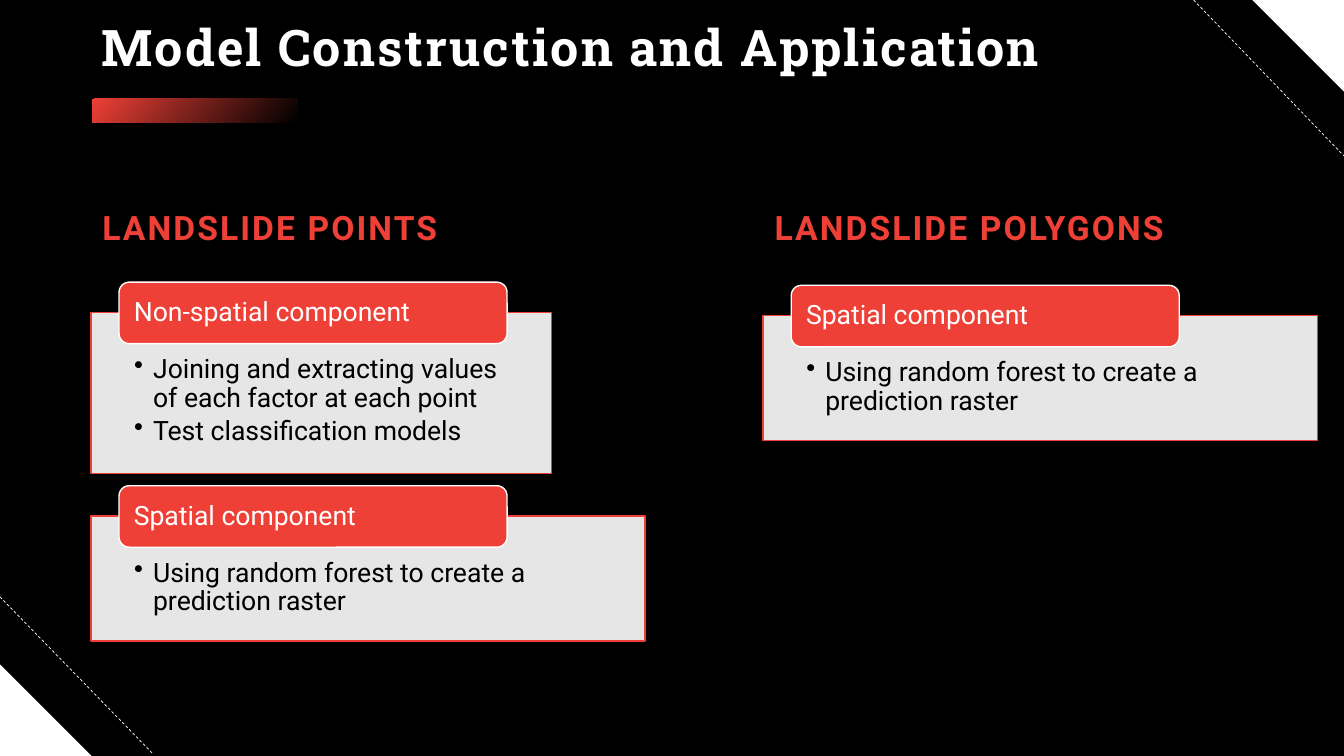
from dataclasses import dataclass

from lxml import etree
from pptx import Presentation
from pptx.dml.color import RGBColor
from pptx.enum.dml import MSO_LINE
from pptx.enum.shapes import MSO_CONNECTOR, MSO_SHAPE
from pptx.enum.text import MSO_ANCHOR, MSO_AUTO_SIZE, PP_ALIGN
from pptx.oxml.ns import qn
from pptx.shapes.autoshape import Shape
from pptx.slide import Slide
from pptx.util import Cm, Pt

RECTANGLE = MSO_SHAPE.RECTANGLE
ROUNDED = MSO_SHAPE.ROUNDED_RECTANGLE
RIGHT_TRIANGLE = MSO_SHAPE.RIGHT_TRIANGLE
STRAIGHT = MSO_CONNECTOR.STRAIGHT
DASH = MSO_LINE.DASH
LEFT = PP_ALIGN.LEFT
TOP, MIDDLE = MSO_ANCHOR.TOP, MSO_ANCHOR.MIDDLE
NO_AUTOFIT = MSO_AUTO_SIZE.NONE

BLACK = RGBColor(0x00, 0x00, 0x00)
WHITE = RGBColor(0xFF, 0xFF, 0xFF)
RED = RGBColor(0xEE, 0x40, 0x36)

BODY_FONT = "Roboto"
TITLE_FONT = "Roboto Slab"
SLIDE_WIDTH, SLIDE_HEIGHT = 33.87, 19.05
CORNER = 2.31
POINTS_LEFT, POLYGONS_LEFT = 2.29, 19.23


@dataclass(frozen=True)
class Box:
    """Lengths in centimetres."""
    left: float
    top: float
    width: float
    height: float


@dataclass(frozen=True)
class Component:
    name: str
    steps: tuple[str, ...]
    panel: Box


PREDICTION = ("Using random forest to create a prediction raster",)
HEADINGS = (("LANDSLIDE POINTS", POINTS_LEFT), ("LANDSLIDE POLYGONS", POLYGONS_LEFT))
COMPONENTS = (
    Component("Non-spatial component",
              ("Joining and extracting values of each factor at each point",
               "Test classification models"),
              Box(POINTS_LEFT, 7.87, 11.61, 4.06)),
    Component("Spatial component", PREDICTION, Box(POINTS_LEFT, 13, 13.97, 3.15)),
    Component("Spatial component", PREDICTION, Box(POLYGONS_LEFT, 7.95, 13.97, 3.15)),
)
CORNERS = ((Box(0, SLIDE_HEIGHT - CORNER, CORNER, CORNER), 0),
           (Box(SLIDE_WIDTH - CORNER, 0, CORNER, CORNER), 180))
DASHES = ((0, 15.04, 3.86, 19), (30.08, 0, SLIDE_WIDTH, 3.93))


def place(box: Box) -> tuple[Cm, Cm, Cm, Cm]:
    return Cm(box.left), Cm(box.top), Cm(box.width), Cm(box.height)


def write(shape: Shape, *texts: str, size: float, color: RGBColor,
          font: str = BODY_FONT, bold: bool = False, tracking: float = 0,
          line_spacing: float = 0.9, anchor: MSO_ANCHOR = MIDDLE,
          bullets: bool = False,
          insets: tuple[float, float, float, float] = (0.25, 0.13, 0.25, 0.13)) -> None:
    """Fill a shape with one paragraph per text; insets are left, top, right, bottom."""
    frame = shape.text_frame
    frame.word_wrap = True
    frame.auto_size = NO_AUTOFIT
    frame.vertical_anchor = anchor
    (frame.margin_left, frame.margin_top,
     frame.margin_right, frame.margin_bottom) = map(Cm, insets)
    for index, text in enumerate(texts):
        paragraph = frame.add_paragraph() if index else frame.paragraphs[0]
        paragraph.alignment = LEFT
        paragraph.line_spacing = line_spacing
        if bullets:
            paragraph.space_after = Pt(3)
            properties = paragraph._p.get_or_add_pPr()
            properties.set("marL", str(Cm(0.48)))
            properties.set("indent", str(-Cm(0.48)))
            etree.SubElement(properties, qn("a:buChar"), char="•")
        run = paragraph.add_run()
        run.text = text
        run.font.name = font
        run.font.size = Pt(size)
        run.font.bold = bold
        run.font.color.rgb = color
        if tracking:
            run._r.get_or_add_rPr().set("spc", str(round(tracking * 100)))


def add_block(slide: Slide, kind: MSO_SHAPE, box: Box, fill: RGBColor,
              line: RGBColor | None = None, opacity: int = 100) -> Shape:
    block = slide.shapes.add_shape(kind, *place(box))
    block.shadow.inherit = False
    block.fill.solid()
    block.fill.fore_color.rgb = fill
    if opacity < 100:
        color = block._element.spPr.find(qn("a:solidFill"))[0]
        etree.SubElement(color, qn("a:alpha"), val=str(opacity * 1000))
    if line is None:
        block.line.fill.background()
    else:
        block.line.color.rgb = line
        block.line.width = Pt(1)
    return block


def add_corners(slide: Slide) -> None:
    for box, rotation in CORNERS:
        add_block(slide, RIGHT_TRIANGLE, box, WHITE).rotation = rotation
    for ends in DASHES:
        dash = slide.shapes.add_connector(STRAIGHT, *map(Cm, ends))
        dash.line.color.rgb = WHITE
        dash.line.width = Pt(0.5)
        dash.line.dash_style = DASH
        etree.SubElement(dash._element.spPr, qn("a:effectLst"))


def add_title(slide: Slide) -> None:
    title = slide.shapes.title
    title.left, title.top, title.width, title.height = place(Box(2.31, 0.46, 29.24, 1.63))
    write(title, "Model Construction and Application", size=36, color=WHITE,
          font=TITLE_FONT, bold=True, tracking=1.5)
    accent = add_block(slide, RECTANGLE, Box(2.32, 2.49, 5.18, 0.6), RED)
    accent.fill.gradient()
    accent.fill.gradient_angle = 320
    for stop, color in zip(accent.fill.gradient_stops, (RED, BLACK)):
        stop.color.rgb = color


def add_heading(slide: Slide, text: str, column_left: float) -> None:
    box = Box(column_left + 0.04, 4.5, 12.32, 1.96)
    heading = slide.shapes.add_textbox(*place(box))
    write(heading, text, size=24, color=RED, bold=True, tracking=1.5, line_spacing=1.5)


def add_component(slide: Slide, component: Component) -> None:
    """Draw the panel of steps with its name tag over the top edge."""
    box = component.panel
    panel = add_block(slide, RECTANGLE, box, WHITE, line=RED, opacity=90)
    write(panel, *component.steps, size=19, color=BLACK, anchor=TOP, bullets=True,
          insets=(1.09, 1.09, 1.09, 0.38))
    tag_box = Box(box.left + 0.71, box.top - 0.76, 9.78, 1.55)
    tag = add_block(slide, ROUNDED, tag_box, RED, line=WHITE)
    write(tag, component.name, size=19, color=WHITE, insets=(0.3, 0, 0.3, 0))


def main() -> None:
    deck = Presentation()
    deck.slide_width, deck.slide_height = Cm(SLIDE_WIDTH), Cm(SLIDE_HEIGHT)
    slide = deck.slides.add_slide(deck.slide_layouts.get_by_name("Title Only"))
    slide.background.fill.solid()
    slide.background.fill.fore_color.rgb = BLACK
    add_corners(slide)
    add_title(slide)
    for text, column_left in HEADINGS:
        add_heading(slide, text, column_left)
    for component in COMPONENTS:
        add_component(slide, component)
    deck.save("out.pptx")


if __name__ == "__main__":
    main()
